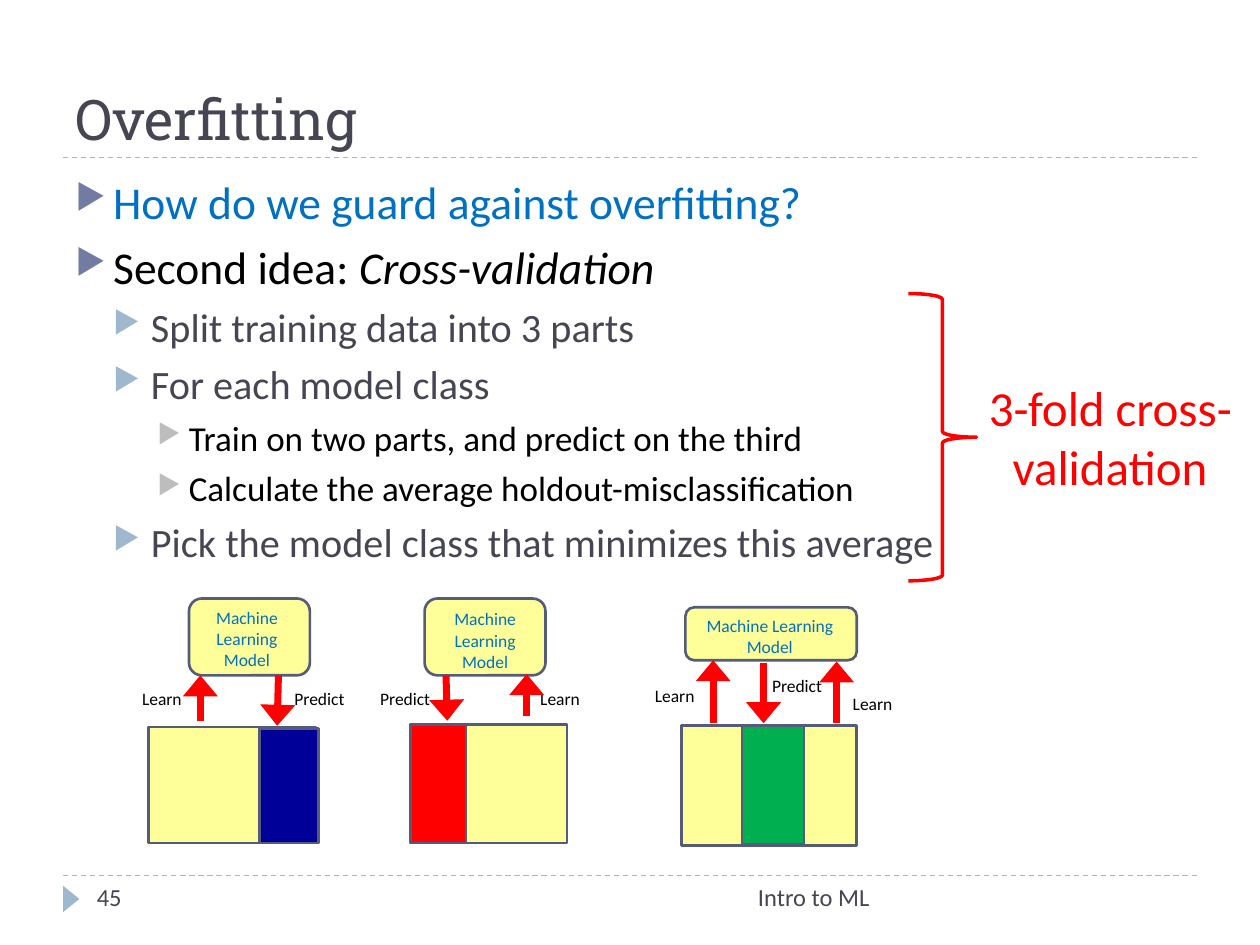
from dataclasses import dataclass

from lxml.etree import SubElement as Sub
from pptx import Presentation
from pptx.dml.color import RGBColor as RGB
from pptx.enum.dml import MSO_LINE as Dash
from pptx.enum.shapes import MSO_CONNECTOR as Conn, MSO_SHAPE as Shape
from pptx.enum.text import MSO_ANCHOR as Anchor, PP_ALIGN as Align
from pptx.oxml.ns import qn
from pptx.util import Inches, Pt

COLS, ROWS = 10, 7.5  # slide grid; every length below is in columns or rows
CELL = Inches(1)


@dataclass(frozen=True)
class Theme:
    head: str = "Roboto Slab"
    text: str = "Calibri"
    dark: str = "464653"
    black: str = "000000"
    blue: str = "0070C0"
    red: str = "FF0000"
    navy: str = "000099"
    green: str = "00B050"
    yellow: str = "FFFF00"
    edge: str = "545C79"
    pale: str = "9FB8CD"
    title: int = 32
    callout: int = 28
    foot: int = 14
    label: int = 10


T = Theme()

# Outline level: text size, indent, hanging, space before, bullet colour
LEVELS = (
    (26, 0.3, 0.3, 6, "727CA3"),
    (23, 0.6, 0.3, 5, T.pale),
    (20, 0.9, 0.25, 5, "BDBDBD"),
)


@dataclass(frozen=True)
class Box:
    x: float
    y: float
    w: float
    h: float

    def at(self, x, y, w, h):
        return Box(self.x + x, self.y + y, w, h)

    def emu(self):
        return [round(v * CELL) for v in (self.x, self.y, self.w, self.h)]


# ---- Basic parts ----
def add_run(p, text, color, size, name=T.text, **more):
    r = p.add_run()
    r.text = text
    fmt = {"size": Pt(size), "name": name, **more}
    for key, value in fmt.items():
        setattr(r.font, key, value)
    r.font.color.rgb = RGB.from_string(color)


def add_frame(s, box, anchor=Anchor.TOP):
    tf = s.shapes.add_textbox(*box.emu()).text_frame
    fmt = {"word_wrap": True, "vertical_anchor": anchor}
    for key, value in fmt.items():
        setattr(tf, key, value)
    return tf


def add_text(s, box, text, color, size, align=Align.CENTER, name=T.text,
             anchor=Anchor.TOP):
    p = add_frame(s, box, anchor).paragraphs[0]
    p.alignment = align
    add_run(p, text, color, size, name)


def add_block(s, kind, box, fill=None, line=None, width=1.5, alpha=None):
    sp = s.shapes.add_shape(kind, *box.emu())
    sp.shadow.inherit = False
    if fill:
        sp.fill.solid()
        sp.fill.fore_color.rgb = RGB.from_string(fill)
    else:
        sp.fill.background()
    if line:
        sp.line.color.rgb = RGB.from_string(line)
        sp.line.width = Pt(width)
    else:
        sp.line.fill.background()
    if alpha:
        clr = sp.fill._xPr.find(qn("a:solidFill"))[0]
        Sub(clr, qn("a:alpha"), val=str(alpha * 1000))
    return sp


def add_line(s, box, x1, y1, x2, y2, color, width, dash=None, arrow=False):
    ends = (box.x + x1, box.y + y1, box.x + x2, box.y + y2)
    sp = s.shapes.add_connector(Conn.STRAIGHT, *(round(v * CELL) for v in ends))
    sp.line.color.rgb = RGB.from_string(color)
    sp.line.width = Pt(width)
    if dash:
        sp.line.dash_style = dash
    if arrow:
        Sub(sp.line._get_or_add_ln(), qn("a:tailEnd"),
            type="triangle", w="lg", len="med")
    Sub(sp._element.spPr, qn("a:effectLst"))


def add_rule(s, box, y):
    add_line(s, box, 0, y, box.w, y, T.pale, 0.75, Dash.DASH)


# ---- Regions ----
def add_header(s, box, title):
    add_rule(s, box, box.h)
    add_text(s, box, title, T.dark, T.title, Align.LEFT, T.head, Anchor.BOTTOM)


def add_footer(s, box, number, label):
    add_rule(s, box, 0)
    mark = add_block(s, Shape.ISOSCELES_TRIANGLE,
                     box.at(-0.04, 0.12, 0.21, 0.13), T.pale)
    mark.rotation = 90
    add_text(s, box.at(2.67, 0, 3.83, box.h), label, T.dark, T.foot, Align.RIGHT)
    add_text(s, box.at(0.17, 0, 2.17, box.h), number, T.dark, T.foot, Align.LEFT)


def add_outline(s, box, items):
    tf = add_frame(s, box)
    for i, (level, color, text, italic) in enumerate(items):
        size, indent, hang, before, bullet = LEVELS[level]
        p = tf.add_paragraph() if i else tf.paragraphs[0]
        p.space_before = Pt(before)
        pPr = p._p.get_or_add_pPr()
        pPr.set("marL", str(Inches(indent)))
        pPr.set("indent", str(-Inches(hang)))
        Sub(Sub(pPr, qn("a:buClr")), qn("a:srgbClr"), val=bullet)
        Sub(pPr, qn("a:buSzPct"), val="76000")
        Sub(pPr, qn("a:buChar"), char="▶")
        add_run(p, text, color, size)
        if italic:
            add_run(p, italic, color, size, italic=True)


def add_callout(s, box, text):
    add_block(s, Shape.RIGHT_BRACE, box.at(0, 0, 0.54, box.h), line=T.red, width=2)
    add_text(s, box.at(0.41, 0.62, box.w - 0.41, 1.04), text, T.red, T.callout)


def add_fold(s, box, model, caption, labels, arrows, data, held, color):
    # Model and its caption
    add_block(s, Shape.ROUNDED_RECTANGLE, box.at(*model), T.yellow, T.edge, alpha=40)
    add_text(s, box.at(*caption), "Machine Learning Model", T.blue, T.label)
    # Learn and predict steps
    for text, x, y in labels:
        width = 0.57 if text == "Learn" else 0.65
        add_text(s, box.at(x, y, width, 0.27), text, T.black, T.label)
    for ends in arrows:
        add_line(s, box, *ends, T.red, 4, arrow=True)
    # Training data with the held-out part
    add_block(s, Shape.RECTANGLE, box.at(*data), T.yellow, T.edge, alpha=40)
    add_block(s, Shape.RECTANGLE, box.at(*held), color, T.edge)


OUTLINE = (
    (0, T.blue, "How do we guard against overfitting?", ""),
    (0, T.black, "Second idea: ", "Cross-validation"),
    (1, T.dark, "Split training data into 3 parts", ""),
    (1, T.dark, "For each model class", ""),
    (2, T.black, "Train on two parts, and predict on the third", ""),
    (2, T.black, "Calculate the average holdout-misclassification", ""),
    (1, T.dark, "Pick the model class that minimizes this average", ""),
)

# Left edge of each fold, then its parts relative to the fold's box
FOLDS = (
    (1.18, dict(
        model=(0.32, 0, 0.96, 0.61), caption=(0.3, 0.02, 0.96, 0.61),
        labels=(("Learn", -0.18, 0.66), ("Predict", 1.03, 0.66)),
        arrows=((0.41, 0.97, 0.41, 0.61), (1.03, 0.61, 1.02, 1.01)),
        data=(0, 1.02, 1.33, 0.92), held=(0.88, 1.03, 0.47, 0.91), color=T.navy)),
    (3.26, dict(
        model=(0.11, 0, 0.96, 0.61), caption=(0.11, 0.03, 0.96, 0.61),
        labels=(("Learn", 0.9, 0.66), ("Predict", -0.37, 0.66)),
        arrows=((0.92, 0.93, 0.92, 0.6), (0.28, 0.61, 0.29, 0.97)),
        data=(0, 1, 1.24, 0.94), held=(0, 1, 0.44, 0.94), color=T.red)),
    (5.41, dict(
        model=(0.03, 0.07, 1.36, 0.42), caption=(0.05, 0.08, 1.3, 0.44),
        labels=(("Learn", -0.34, 0.64), ("Predict", 0.59, 0.56), ("Learn", 1.23, 0.7)),
        arrows=((0.25, 0.99, 0.25, 0.49), (0.65, 0.51, 0.65, 0.99),
                (1.23, 0.99, 1.23, 0.5)),
        data=(0, 1.01, 1.39, 0.95), held=(0.48, 1.01, 0.49, 0.94), color=T.green)),
)


def main():
    prs = Presentation()
    prs.slide_width, prs.slide_height = round(COLS * CELL), round(ROWS * CELL)
    s = prs.slides.add_slide(prs.slide_layouts[6])
    add_footer(s, Box(0.5, 6.95, 9, 0.4), "45", "Intro to ML")
    add_header(s, Box(0.5, 0.17, 9, 1.08), "Overfitting")
    add_outline(s, Box(0.5, 1.33, 9, 5.58), OUTLINE)
    add_callout(s, Box(7.21, 2.33, 2.79, 2.28), "3-fold cross-validation")
    for x, parts in FOLDS:
        add_fold(s, Box(x, 4.75, 1.4, 1.96), **parts)
    prs.save("out.pptx")


if __name__ == "__main__":
    main()
